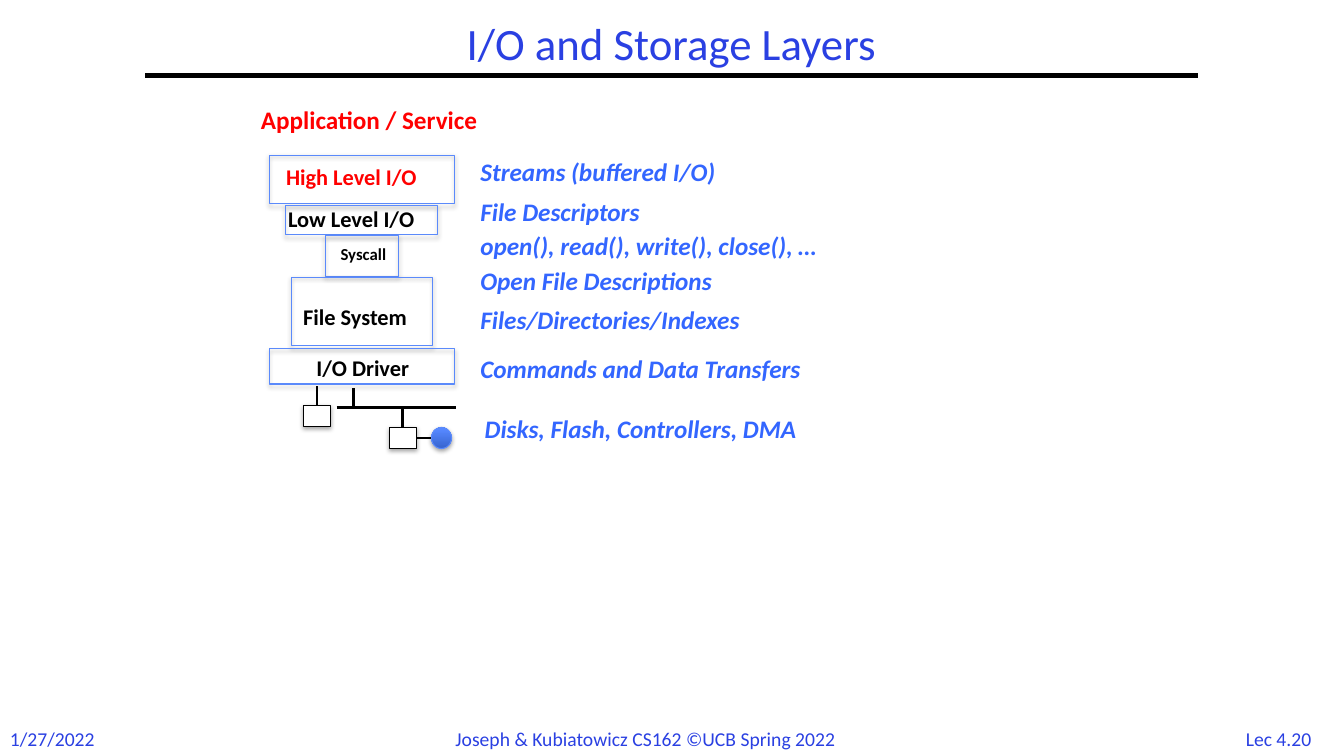
from typing import NamedTuple

from lxml import etree
from pptx import Presentation
from pptx.dml.color import RGBColor
from pptx.enum.shapes import MSO_CONNECTOR, MSO_SHAPE
from pptx.enum.text import MSO_ANCHOR, PP_ALIGN
from pptx.oxml import parse_xml
from pptx.oxml.ns import nsdecls, qn
from pptx.util import Inches, Pt

RECT, OVAL = MSO_SHAPE.RECTANGLE, MSO_SHAPE.OVAL
LINE = MSO_CONNECTOR.STRAIGHT
LEFT, CENTER = PP_ALIGN.LEFT, PP_ALIGN.CENTER
TOP, MIDDLE = MSO_ANCHOR.TOP, MSO_ANCHOR.MIDDLE
TOP_SIDE, RIGHT_SIDE = 0, 3

FONT = "Calibri"
COLORS = {
    "title": "2A40E2", "note": "3366FF", "hot": "FF0000", "ink": "000000",
    "edge": "5B8AFB", "paper": "FFFFFF", "deep": "3764CE", "light": "5688FF",
}

# Grid: 160 columns by 90 rows of square cells
COLS, ROWS = 160, 90
deck = Presentation()
deck.slide_width, deck.slide_height = Inches(13.333), Inches(7.5)
slide = deck.slides.add_slide(deck.slide_layouts[6])


class Area(NamedTuple):
    col: float
    row: float
    wide: float
    high: float


class Layer(NamedTuple):
    name: str
    row: float
    wide: float
    high: float
    label: Area
    size: int = 16
    color: str = "ink"


class Note(NamedTuple):
    text: str
    row: float
    wide: float
    col: float = 56


class Foot(NamedTuple):
    text: str
    col: float
    wide: float
    align: PP_ALIGN = LEFT


def across(col: float) -> int:
    return round(deck.slide_width * col / COLS)


def down(row: float) -> int:
    return round(deck.slide_height * row / ROWS)


def place(area: Area) -> tuple:
    return across(area.col), down(area.row), across(area.wide), down(area.high)


def tint(name: str) -> RGBColor:
    return RGBColor.from_string(COLORS[name])


def write(text: str, area: Area, *, size: int, color: str, bold=False,
          italic=False, align=LEFT, anchor=TOP, spacing=None) -> None:
    frame = slide.shapes.add_textbox(*place(area)).text_frame
    frame.word_wrap = True
    frame.vertical_anchor = anchor
    para = frame.paragraphs[0]
    para.alignment = align
    para.line_spacing = spacing
    run = para.add_run()
    run.text = text
    font = run.font
    font.name, font.size = FONT, Pt(size)
    font.bold, font.italic = bold, italic
    font.color.rgb = tint(color)


def draw(kind: MSO_SHAPE, area: Area, edge: str, fill: str = ""):
    shape = slide.shapes.add_shape(kind, *place(area))
    shape.line.color.rgb = tint(edge)
    shape.line.width = Pt(0.75)
    if fill:
        shape.fill.solid()
        shape.fill.fore_color.rgb = tint(fill)
    else:
        shape.fill.background()
    # Soft shadow straight below
    shape.shadow.inherit = False
    shape.element.spPr.find(qn("a:effectLst")).append(parse_xml(
        f'<a:outerShdw {nsdecls("a")} blurRad="40000" dist="23000" '
        'dir="5400000" rotWithShape="0"><a:srgbClr val="000000">'
        '<a:alpha val="35000"/></a:srgbClr></a:outerShdw>'))
    return shape


def link(col: float, row: float, to_col: float, to_row: float, width: float = 2):
    line = slide.shapes.add_connector(
        LINE, across(col), down(row), across(to_col), down(to_row))
    line.line.color.rgb = tint("ink")
    line.line.width = Pt(width)
    etree.SubElement(line.element.spPr, qn("a:effectLst"))
    return line


# Title, rule and footer
write("I/O and Storage Layers", Area(17.28, 2.04, 125.28, 6.96), size=32,
      color="title", align=CENTER, anchor=MIDDLE, spacing=0.9)
link(17.28, 9, 142.68, 9, 3)
FEET = [
    Foot("1/27/2022", 0, 13.2),
    Foot("Joseph & Kubiatowicz CS162 ©UCB Spring 2022", 53.04, 54),
    Foot("Lec 4.20", 146.4, 11.64, CENTER),
]
for foot in FEET:
    write(foot.text, Area(foot.col, 85.92, foot.wide, 4.08), size=14,
          color="title", align=foot.align)

# Stack of layers, all on one axis
AXIS = 43.08
LAYERS = [
    Layer("High Level I/O", 18.48, 22.08, 5.76,
          Area(32.88, 18.84, 21.12, 4.44), color="hot"),
    Layer("Low Level I/O", 24.48, 18.12, 3.48, Area(33.12, 23.88, 20.52, 4.44)),
    Layer("Syscall", 28.08, 8.76, 4.8, Area(39.36, 28.44, 9.36, 3.6), size=12),
    Layer("File System", 33, 16.8, 8.16, Area(34.92, 35.52, 17.4, 4.44)),
    Layer("I/O Driver", 41.52, 22.08, 4.2, Area(36.48, 41.52, 14.64, 4.44)),
]
write("Application / Service", Area(29.88, 11.88, 32.16, 4.8), size=18,
      color="hot", bold=True)
for layer in LAYERS:
    write(layer.name, layer.label, size=layer.size, color=layer.color, bold=True)
    draw(RECT, Area(AXIS - layer.wide / 2, layer.row, layer.wide, layer.high), "edge")

# Devices on the bus
BUS = 48.48
link(40.08, BUS, 54.24, BUS)
link(42.12, 46.2, 42.12, BUS)
chip = draw(RECT, Area(46.32, 50.88, 3.24, 2.52), "ink", "paper")
link(47.94, BUS, 47.94, 50.88).end_connect(chip, TOP_SIDE)
disk = draw(OVAL, Area(51.36, 50.88, 2.4, 2.52), "edge", "light")
disk.fill.gradient()
disk.fill.gradient_angle = 90
for stop, (color, spot) in zip(disk.fill.gradient_stops, [("deep", 0), ("light", 0.9)]):
    stop.color.rgb, stop.position = tint(color), spot
link(49.56, 52.14, 51.36, 52.14).begin_connect(chip, RIGHT_SIDE)
port = draw(RECT, Area(36.12, 48.24, 3.24, 2.52), "ink", "paper")
link(37.74, 45.96, 37.74, 48.24).end_connect(port, TOP_SIDE)

# Notes beside the layers
NOTES = [
    Note("Streams (buffered I/O)", 18, 34.2),
    Note("File Descriptors", 22.8, 25.32),
    Note("open(), read(), write(), close(), …", 26.88, 48.72),
    Note("Open File Descriptions", 30.96, 35.4),
    Note("Files/Directories/Indexes", 35.64, 38.16),
    Note("Commands and Data Transfers", 41.52, 47.16),
    Note("Disks, Flash, Controllers, DMA", 48.6, 46.56, 56.52),
]
for note in NOTES:
    write(note.text, Area(note.col, note.row, note.wide, 4.8), size=18,
          color="note", bold=True, italic=True)

deck.save("out.pptx")
